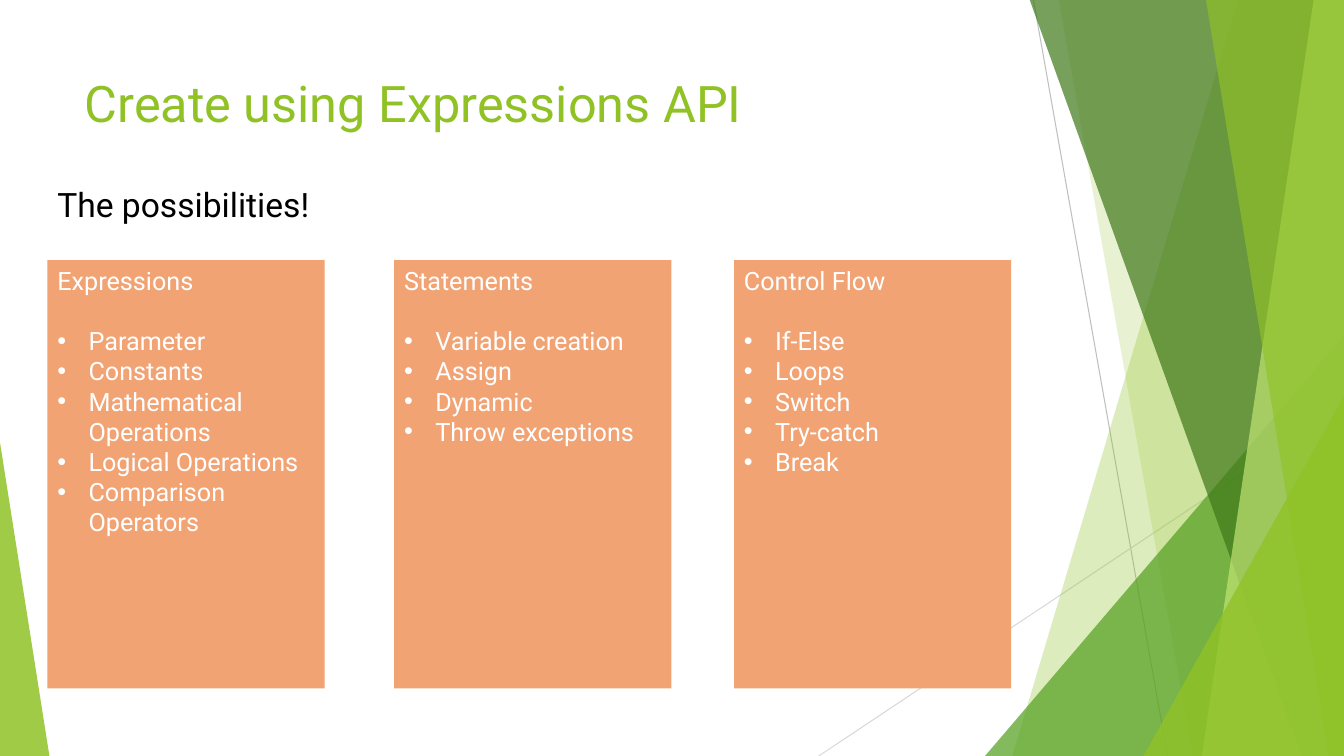
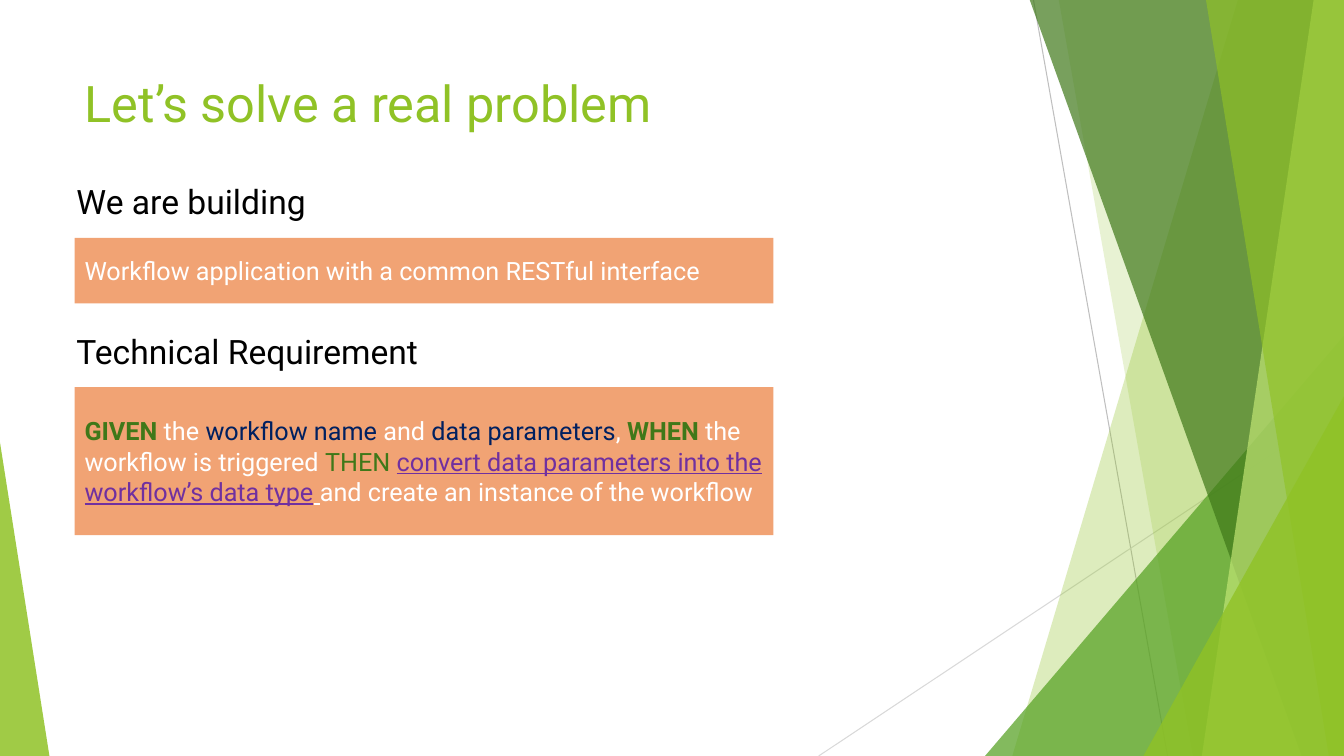
from lxml.etree import SubElement as Sub
from pptx import Presentation
from pptx.dml.color import RGBColor as RGB
from pptx.enum.shapes import MSO_CONNECTOR as Conn, MSO_SHAPE as Kind
from pptx.enum.text import MSO_ANCHOR as Anchor, MSO_AUTO_SIZE as Auto, PP_ALIGN as Align
from pptx.oxml.ns import qn
from pptx.util import Inches, Pt

FONT = "Roboto"
WIDE, HIGH = 13.33, 7.5
COLORS = {
    "lime": "90C226", "green": "54A021", "dark": "3F7819", "pale": "C0E474",
    "orange": "F1A374", "white": "FFFFFF", "black": "000000",
    "navy": "002060", "purple": "7030A0", "gray": "BFBFBF", "light": "D9D9D9",
}

# Slanted bands running to the right edge: top x, bottom x, colour, opacity
BACK = [(12.28, 10.04, "lime", 30), (10.5, 11.83, "lime", 20)]
FRONT = [(10.21, 12.91, "dark", 70), (13.03, 11.92, "pale", 70),
         (11.96, 13.18, "lime", 65)]

PANELS = [
    (0.47, "Expressions", ["Parameter", "Constants", "Mathematical Operations",
                           "Logical Operations", "Comparison Operators"]),
    (3.91, "Statements", ["Variable creation", "Assign", "Dynamic",
                          "Throw exceptions"]),
    (7.28, "Control Flow", ["If-Else", "Loops", "Switch", "Try-catch", "Break"]),
]

# Text, colour, bold, underline
NEED = [
    ("GIVEN", "dark", True, False),
    (" the ", "white", False, False),
    ("workflow name ", "navy", False, False),
    ("and ", "white", False, False),
    ("data parameters", "navy", False, False),
    (", ", "white", False, False),
    ("WHEN", "dark", True, False),
    (" the workflow is triggered ", "white", False, False),
    ("THEN ", "dark", False, False),
    ("convert data parameters into the workflow’s data type", "purple", False, True),
    (" ", "white", False, True),
    ("and create an instance of the workflow", "white", False, False),
]


def color(name):
    return RGB.from_string(COLORS[name])


def style(run, size, tint, bold=False, under=False):
    font = run.font
    font.name, font.size, font.bold, font.underline = FONT, Pt(size), bold, under
    font.color.rgb = color(tint)


def write(para, text, size, tint):
    para.text = text
    para.alignment = Align.LEFT
    style(para.runs[0], size, tint)


def paint(shape, tint, alpha=100):
    shape.shadow.inherit = False
    shape.line.fill.background()
    shape.fill.solid()
    shape.fill.fore_color.rgb = color(tint)
    if alpha < 100:
        tone = shape.element.spPr.find(qn("a:solidFill"))[0]
        Sub(tone, qn("a:alpha"), val=str(alpha * 1000))
    return shape


def block(slide, box, anchor):
    shape = slide.shapes.add_shape(Kind.RECTANGLE, *map(Inches, box))
    paint(shape, "orange")
    shape.text_frame.word_wrap = True
    shape.text_frame.vertical_anchor = anchor
    return shape.text_frame


def head(slide, left, top, width, text):
    box = slide.shapes.add_textbox(*map(Inches, (left, top, width, 0.5)))
    box.text_frame.word_wrap = True
    write(box.text_frame.paragraphs[0], text, 24, "black")


# Shared backdrop
def line(shapes, start, end, tint):
    rule = shapes.add_connector(Conn.STRAIGHT, *map(Inches, start + end))
    rule.line.color.rgb = color(tint)
    rule.line.width = Pt(0.75)
    Sub(rule.element.spPr, qn("a:effectLst"))


def band(shapes, top, base, tint, alpha):
    path = shapes.build_freeform(Inches(top), Inches(-0.01))
    ends = [(WIDE, -0.01), (WIDE, HIGH), (base, HIGH)]
    path.add_line_segments([(Inches(x), Inches(y)) for x, y in ends])
    paint(path.convert_to_shape(), tint, alpha)


def wedge(shapes, left, top, width, peak, tint, alpha):
    box = map(Inches, (left, top, width, HIGH - top))
    shape = shapes.add_shape(Kind.ISOSCELES_TRIANGLE, *box)
    shape.adjustments[0] = peak
    paint(shape, tint, alpha)


def backdrop(slide, layout):
    """Draw the backdrop once, then hand it to the layout all slides use."""
    shapes = slide.shapes
    count = len(shapes)
    line(shapes, (10.25, 0), (11.58, HIGH), "gray")
    line(shapes, (WIDE, 4.03), (8.12, HIGH), "light")
    for item in BACK:
        band(shapes, *item)
    wedge(shapes, 9.77, 3.33, 3.56, 1, "green", 72)
    for item in FRONT:
        band(shapes, *item)
    wedge(shapes, 11.34, 3.93, 1.99, 1, "lime", 80)
    wedge(shapes, 0, 4.39, 0.49, 0, "lime", 85)
    for shape in list(shapes)[count:]:
        layout.shapes.element.append(shape.element)


def prepare(layout):
    for hold in list(layout.placeholders)[1:]:
        hold.element.getparent().remove(hold.element)
    title = layout.placeholders[0]
    title.left, title.top, title.width, title.height = map(
        Inches, (0.74, 0.67, 9.4, 1.44))


def start(deck, layout, text):
    slide = deck.slides.add_slide(layout)
    frame = slide.shapes.title.text_frame
    frame.vertical_anchor = Anchor.TOP
    frame.auto_size = Auto.NONE
    write(frame.paragraphs[0], text, 36, "lime")
    return slide


# Slide 1: three list panels
def panel(slide, box, name, items):
    frame = block(slide, box, Anchor.TOP)
    write(frame.paragraphs[0], name, 18, "white")
    for index, item in enumerate(items):
        para = frame.add_paragraph()
        if index == 0:
            para.space_before = Pt(21.5)
        props = para._p.get_or_add_pPr()
        props.set("marL", str(Inches(0.31)))
        props.set("indent", str(-Inches(0.31)))
        Sub(props, qn("a:buFont"), typeface="Arial")
        Sub(props, qn("a:buChar"), char="•")
        write(para, item, 18, "white")


def options(slide):
    head(slide, 0.47, 1.78, 5.66, "The possibilities!")
    for left, name, items in PANELS:
        panel(slide, (left, 2.58, 2.75, 4.25), name, items)


# Slide 2: goal and requirement
def problem(slide):
    head(slide, 0.66, 1.75, 3.18, "We are building")
    goal = block(slide, (0.74, 2.36, 6.93, 0.65), Anchor.MIDDLE)
    write(goal.paragraphs[0],
          "Workflow application with a common RESTful interface", 18, "white")
    head(slide, 0.66, 3.23, 4.41, "Technical Requirement")
    need = block(slide, (0.74, 3.84, 6.93, 1.47), Anchor.MIDDLE).paragraphs[0]
    need.alignment = Align.LEFT
    for text, tint, bold, under in NEED:
        run = need.add_run()
        run.text = text
        style(run, 18, tint, bold, under)


def main():
    deck = Presentation()
    deck.slide_width, deck.slide_height = Inches(WIDE), Inches(HIGH)
    layout = deck.slide_layouts.get_by_name("Title Only")
    prepare(layout)
    first = start(deck, layout, "Create using Expressions API")
    backdrop(first, layout)
    options(first)
    problem(start(deck, layout, "Let’s solve a real problem"))
    deck.save("out.pptx")


if __name__ == "__main__":
    main()
